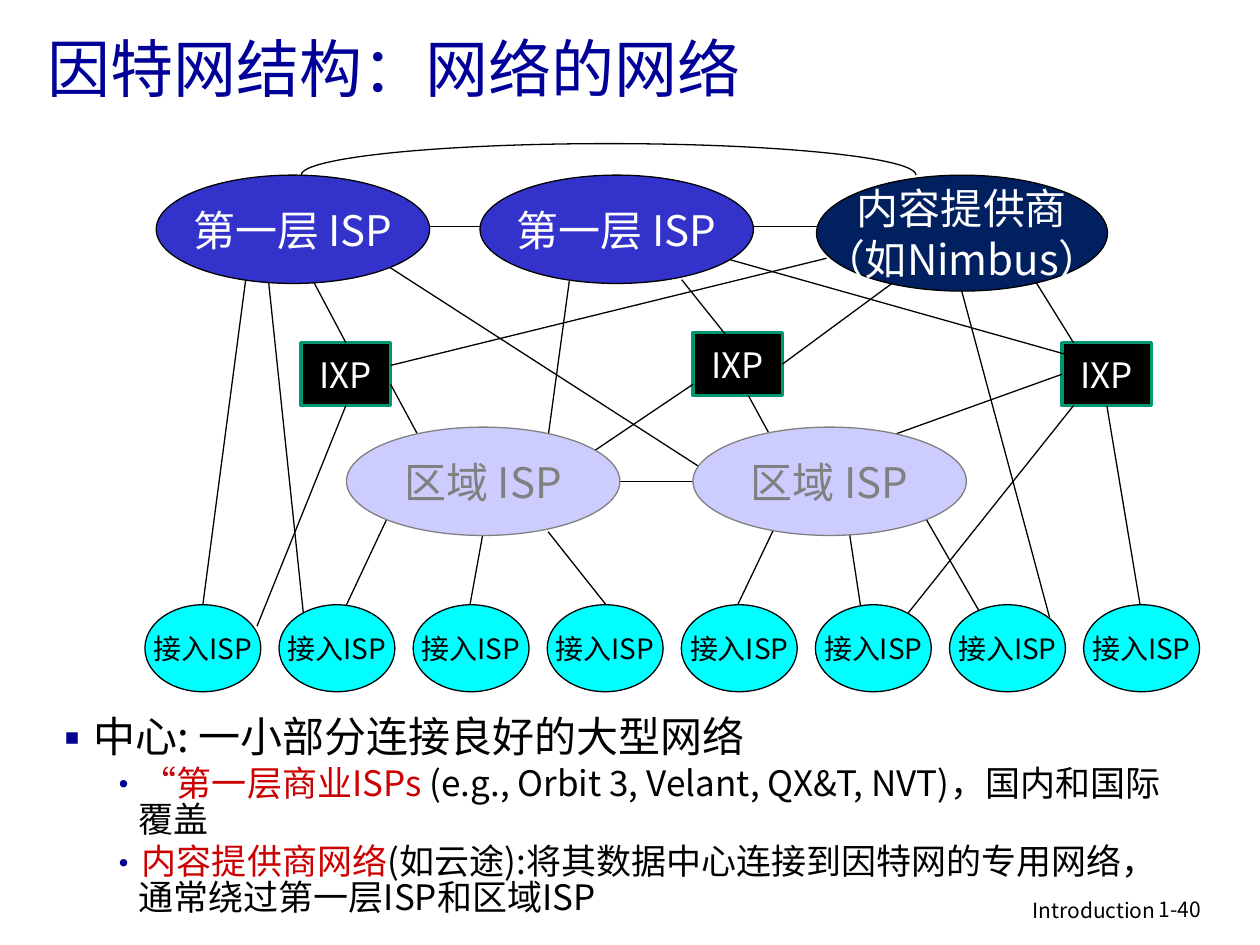
"""Build a slide showing the Internet as a network of networks."""
from dataclasses import dataclass

from lxml import etree
from pptx import Presentation
from pptx.dml.color import RGBColor
from pptx.enum import shapes, text
from pptx.oxml.ns import qn
from pptx.util import Inches, Pt


@dataclass(frozen=True)
class Theme:
    font: str = "Noto Sans CJK SC"
    title: str = "000099"
    bullet: str = "000090"
    accent: str = "CC0000"
    ink: str = "000000"
    paper: str = "FFFFFF"
    tier1: str = "3333CC"
    content: str = "002060"
    regional: str = "CCCCFF"
    muted: str = "808080"
    access: str = "00FFFF"
    ixp_line: str = "009771"
    title_size: int = 36
    large: int = 24
    medium: int = 20
    small: int = 16
    footer: int = 12
    thin: float = 0.75
    thick: float = 2


theme = Theme()


def write(para, words, size, color):
    span = para.add_run()
    span.text = words
    span.font.size = Pt(size)
    span.font.name = theme.font
    span.font.color.rgb = RGBColor.from_string(color)
    east_asian = etree.SubElement(span.font._element, qn("a:ea"))
    east_asian.set("typeface", theme.font)


def add_node(kind, place, fill, line, width, lines, size, color):
    node = page.shapes.add_shape(kind, *map(Inches, place))
    node.shadow.inherit = False
    node.fill.solid()
    node.fill.fore_color.rgb = RGBColor.from_string(fill)
    node.line.color.rgb = RGBColor.from_string(line)
    node.line.width = Pt(width)
    frame = node.text_frame
    frame.word_wrap = False
    frame.vertical_anchor = text.MSO_ANCHOR.MIDDLE
    for index, words in enumerate(lines):
        para = frame.add_paragraph() if index else frame.paragraphs[0]
        para.alignment = text.PP_ALIGN.CENTER
        write(para, words, size, color)
    return node


deck = Presentation()
deck.slide_width, deck.slide_height = Inches(10), Inches(7.5)
page = deck.slides.add_slide(deck.slide_layouts[5])

title = page.shapes.title
title.left, title.top, title.width, title.height = map(Inches, (0.28, 0.18, 8.85, 0.71))
title.text_frame.auto_size = text.MSO_AUTO_SIZE.NONE
title.text_frame.vertical_anchor = text.MSO_ANCHOR.MIDDLE
title.text_frame.paragraphs[0].alignment = text.PP_ALIGN.LEFT
write(title.text_frame.paragraphs[0], "因特网结构：网络的网络", theme.title_size, theme.title)

body = page.shapes.add_textbox(*map(Inches, (0.25, 5.65, 9.23, 1.8)))
body.text_frame.word_wrap = True
bullets = [
    ("▪", 0.38, -0.32, 0, theme.large, [("中心: 一小部分连接良好的大型网络", theme.ink)]),
    ("•", 0.75, -0.25, 4, theme.medium, [
        ("“第一层商业ISPs ", theme.accent),
        ("(e.g., Orbit 3, Velant, QX&T, NVT)，国内和国际覆盖", theme.ink)]),
    ("•", 0.75, -0.25, 4, theme.medium, [
        ("内容提供商网络", theme.accent),
        ("(如云途):将其数据中心连接到因特网的专用网络，通常绕过第一层ISP和区域ISP", theme.ink)]),
]
for index, (mark, margin, indent, before, size, spans) in enumerate(bullets):
    para = body.text_frame.add_paragraph() if index else body.text_frame.paragraphs[0]
    para.line_spacing = 0.85
    para.space_before = Pt(before)
    para.level = 1 if index else 0
    props = para._p.get_or_add_pPr()
    props.set("marL", str(Inches(margin)))
    props.set("indent", str(Inches(indent)))
    bullet_color = etree.SubElement(props, qn("a:buClr"))
    etree.SubElement(bullet_color, qn("a:srgbClr")).set("val", theme.bullet)
    etree.SubElement(props, qn("a:buFont")).set("typeface", theme.font)
    etree.SubElement(props, qn("a:buChar")).set("char", mark)
    for words, color in spans:
        write(para, words, size, color)

footers = [
    ("Introduction", (6.1, 7.07, 3.17, 0.31), text.PP_ALIGN.RIGHT),
    ("1-40", (9.1, 7.07, 0.74, 0.3), text.PP_ALIGN.LEFT),
]
for words, place, alignment in footers:
    box = page.shapes.add_textbox(*map(Inches, place))
    box.text_frame.word_wrap = True
    box.text_frame.paragraphs[0].alignment = alignment
    write(box.text_frame.paragraphs[0], words, theme.footer, theme.ink)

ixp_left, ixp_middle, ixp_right = [
    add_node(shapes.MSO_SHAPE.RECTANGLE, (left, top, 0.71, 0.5), theme.ink,
             theme.ixp_line, theme.thick, ["IXP"], theme.medium, theme.paper)
    for left, top in [(2.39, 2.72), (5.5, 2.64), (8.43, 2.72)]
]

arc = page.shapes.add_shape(shapes.MSO_SHAPE.ARC, *map(Inches, (2.39, 1.14, 4.88, 0.5)))
arc.adjustments[0], arc.adjustments[1] = 108, 0
arc.shadow.inherit = False
arc.fill.background()
arc.line.color.rgb = RGBColor.from_string(theme.ink)
arc.line.width = Pt(theme.thin)

links = [
    (1.95, 2.22, 1.61, 4.8), (2.13, 2.22, 2.41, 4.89), (3.09, 2.12, 5.59, 3.73),
    (3.95, 1.8, 3.37, 1.8), (6.52, 1.8, 5.94, 1.8), (5.5, 3.82, 4.92, 3.82),
    (4.52, 2.22, 4.35, 3.47), (5.41, 2.22, 5.85, 2.77), (5.79, 2.06, 8.45, 2.81),
    (6.56, 2.05, 3.1, 2.9), (7.63, 2.3, 8.33, 4.9), (8.16, 2.14, 8.52, 2.72),
    (3.1, 3.05, 3.37, 3.55), (5.5, 3.05, 4.61, 3.65), (5.94, 3.14, 6.12, 3.47),
    (8.52, 3.22, 7.18, 4.9), (3.07, 4.12, 2.75, 4.8), (3.83, 4.25, 3.73, 4.8),
    (4.35, 4.22, 4.81, 4.8), (6.17, 4.14, 5.85, 4.81), (6.74, 4.22, 6.83, 4.81),
    (7.35, 4.12, 7.8, 4.9),
]
joined_links = [
    (ixp_left, 0, (2.48, 2.22)), (ixp_left, 2, (2.04, 4.97)),
    (ixp_middle, 3, (7.12, 2.22)), (ixp_right, 1, (7.01, 3.48)),
    (ixp_right, 2, (9.05, 4.81)),
]
routes = [(None, 0, link) for link in links]
routes += [(ixp, site, far_end * 2) for ixp, site, far_end in joined_links]
for ixp, site, ends in routes:
    link = page.shapes.add_connector(shapes.MSO_CONNECTOR.STRAIGHT, *map(Inches, ends))
    if ixp is not None:
        link.begin_connect(ixp, site)
    link.line.color.rgb = RGBColor.from_string(theme.ink)
    link.line.width = Pt(theme.thin)
    etree.SubElement(link._element.spPr, qn("a:effectLst"))

providers = [
    ((1.24, 1.39, 2.17, 0.86), theme.tier1, theme.ink, ["第一层 ISP"], theme.paper),
    ((3.81, 1.39, 2.17, 0.86), theme.tier1, theme.ink, ["第一层 ISP"], theme.paper),
    ((6.48, 1.39, 2.31, 0.92), theme.content, theme.ink, ["内容提供商", "（如Nimbus）"], theme.paper),
    ((2.75, 3.39, 2.17, 0.86), theme.regional, theme.muted, ["区域 ISP"], theme.muted),
    ((5.5, 3.39, 2.17, 0.86), theme.regional, theme.muted, ["区域 ISP"], theme.muted),
]
for place, fill, line, lines, color in providers:
    add_node(shapes.MSO_SHAPE.OVAL, place, fill, line, theme.thin, lines, theme.large, color)

access_pitch = (8.6 - 1.15) / 7
for column in range(8):
    add_node(shapes.MSO_SHAPE.OVAL, (1.15 + column * access_pitch, 4.8, 0.92, 0.69),
             theme.access, theme.ink, theme.thin, ["接入ISP"], theme.small, theme.ink)

deck.save("out.pptx")
